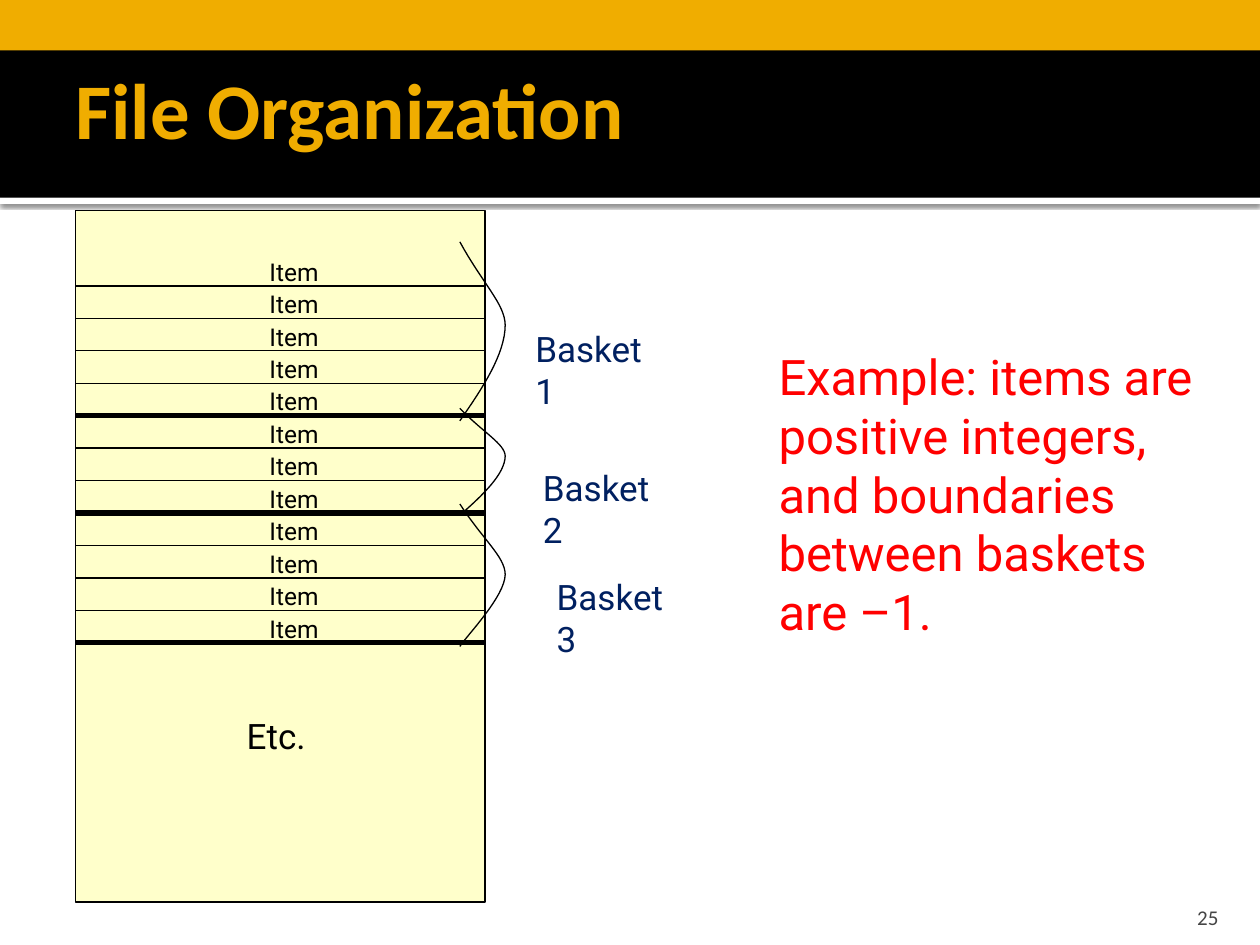
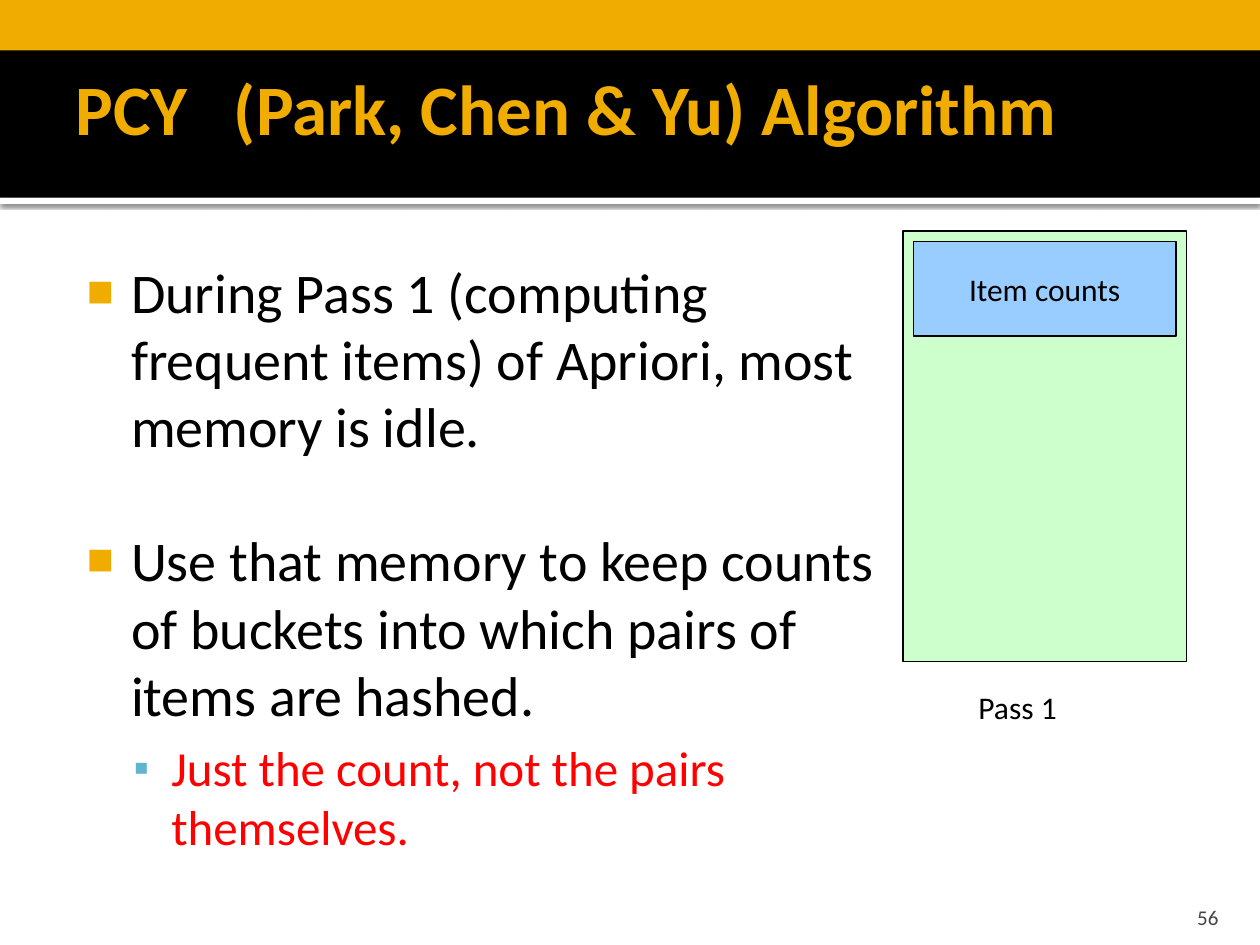
import itertools

import lxml.etree
import pptx
import pptx.dml.color
import pptx.enum.shapes
import pptx.enum.text
import pptx.oxml.ns
import pptx.util

Pt = pptx.util.Pt
ANCHOR = pptx.enum.text.MSO_ANCHOR
ALIGN = pptx.enum.text.PP_ALIGN
COLORS = {
    "gold": "F0AD00", "black": "000000", "white": "FFFFFF", "navy": "002060",
    "red": "FF0000", "gray": "454545", "teal": "60B5CC",
    "file": "FFFF99", "memory": "CCFFCC", "counts": "99CCFF",
}
FRAME = {"margin_left": Pt(7.2), "margin_top": Pt(3.6), "margin_right": Pt(7.2),
         "margin_bottom": Pt(3.6), "word_wrap": True,
         "auto_size": pptx.enum.text.MSO_AUTO_SIZE.NONE, "vertical_anchor": ANCHOR.TOP}
FILE_LEFT, FILE_WIDTH = 43.2, 234
FIRST_LINE, ROW_HEIGHT = 163.4, 18.54
BASKET_SIZES = [5, 3, 4]


def rgb(color):
    return pptx.dml.color.RGBColor.from_string(COLORS[color])


def set_values(target, values):
    for name, value in values.items():
        setattr(target, name, value)


def add_xml(parent, tag, **attributes):
    return lxml.etree.SubElement(parent, pptx.oxml.ns.qn(tag), attributes)


def place(shape, box):
    set_values(shape, dict(zip(("left", "top", "width", "height"), map(Pt, box))))


def write_run(paragraph, text, size, color, font="Calibri", bold=False):
    run = paragraph.add_run()
    run.text = text
    set_values(run.font, {"size": Pt(size), "name": font, "bold": bold})
    run.font.color.rgb = rgb(color)


def write_lines(text_frame, lines, size, color, font="Calibri", align=ALIGN.LEFT, **frame):
    set_values(text_frame, {**FRAME, **frame})
    for index, line in enumerate(lines):
        paragraph = text_frame.add_paragraph() if index else text_frame.paragraphs[0]
        paragraph.alignment = align
        write_run(paragraph, line, size, color, font)


def add_text(slide, box, lines, size, color, font="Calibri", **options):
    text_box = slide.shapes.add_textbox(*map(Pt, box))
    write_lines(text_box.text_frame, lines, size, color, font, **options)


def add_rectangle(slide, box, fill, line=None):
    kind = pptx.enum.shapes.MSO_SHAPE.RECTANGLE
    shape = slide.shapes.add_shape(kind, *map(Pt, box))
    shape.shadow.inherit = False
    shape.fill.solid()
    shape.fill.fore_color.rgb = rgb(fill)
    if line:
        shape.line.color.rgb = rgb(line)
        shape.line.width = Pt(0.75)
    else:
        shape.line.fill.background()
    return shape


def add_divider(slide, top, width):
    connector = slide.shapes.add_connector(
        pptx.enum.shapes.MSO_CONNECTOR.STRAIGHT,
        Pt(FILE_LEFT), Pt(top), Pt(FILE_LEFT + FILE_WIDTH), Pt(top))
    connector.line.color.rgb = rgb("black")
    connector.line.width = Pt(width)
    add_xml(connector.element.spPr, "a:effectLst")


def bezier(points, steps=16):
    for step in range(1, steps + 1):
        t = step / steps
        weights = ((1 - t) ** 3, 3 * t * (1 - t) ** 2, 3 * t * t * (1 - t), t ** 3)
        yield tuple(Pt(sum(w * value for w, value in zip(weights, axis)))
                    for axis in zip(*points))


def add_brace(slide, top, middle, bottom, lower_control):
    left, right = 262.8, 288.7
    inner = (left + right) / 2
    upper = [(left, top), (inner, (top + middle) / 2),
             (right, top + (middle - top) * 0.75), (right, middle)]
    lower = [(right, middle), (right, middle + (bottom - middle) * 0.3),
             lower_control, (left, bottom)]
    builder = slide.shapes.build_freeform(Pt(left), Pt(top))
    builder.add_line_segments([*bezier(upper), *bezier(lower)], close=False)
    brace = builder.convert_to_shape()
    brace.shadow.inherit = False
    brace.fill.background()
    brace.line.color.rgb = rgb("black")
    brace.line.width = Pt(0.75)


def add_master_bands(presentation, slide):
    bands = [((0, 113, 720, 3.6), "white"), ((0, 0, 720, 113), "black"),
             ((0, 0, 720, 28.8), "gold")]
    tree = presentation.slide_master.element.cSld.spTree
    for index, (box, color) in enumerate(bands):
        band = add_rectangle(slide, box, color)
        if color == "white":
            effects = band.element.spPr.find(pptx.oxml.ns.qn("a:effectLst"))
            shadow = add_xml(effects, "a:outerShdw", blurRad=str(Pt(2.5)),
                             dist=str(Pt(0.8)), dir="5400000", rotWithShape="0")
            shade = add_xml(shadow, "a:srgbClr", val=COLORS["black"])
            add_xml(shade, "a:alpha", val="60000")
        band.element.nvSpPr.cNvPr.set("id", str(100 + index))
        tree.insert(2 + index, band.element)


def add_slide(presentation, layout, title, size, number, tab=None):
    slide = presentation.slides.add_slide(presentation.slide_layouts[layout])
    place(slide.shapes.title, (36, 12.2, 648, 98.6))
    frame = slide.shapes.title.text_frame
    set_values(frame, {**FRAME, "margin_right": Pt(3.6), "vertical_anchor": ANCHOR.MIDDLE})
    paragraph = frame.paragraphs[0]
    paragraph.alignment = ALIGN.LEFT
    if tab:
        tabs = add_xml(paragraph._p.get_or_add_pPr(), "a:tabLst")
        add_xml(tabs, "a:tab", pos=str(Pt(tab)), algn="l")
    write_run(paragraph, title, size, "gold", bold=True)
    add_text(slide, (645.8, 509.8, 57.6, 21.6), [number], 12, "gray",
             align=ALIGN.RIGHT, vertical_anchor=ANCHOR.BOTTOM, margin_bottom=0)
    return slide


def add_bullet(paragraph, text, size, color, mark, level, before):
    character, mark_color, percent, left, hanging = mark
    set_values(paragraph, {"level": level, "space_before": Pt(before),
                           "alignment": ALIGN.LEFT})
    properties = paragraph._p.get_or_add_pPr()
    properties.set("marL", str(Pt(left)))
    properties.set("indent", str(-Pt(hanging)))
    add_xml(add_xml(properties, "a:buClr"), "a:srgbClr", val=COLORS[mark_color])
    add_xml(properties, "a:buSzPct", val=str(percent * 1000))
    add_xml(properties, "a:buChar", char=character)
    write_run(paragraph, text, size, color)


def fill_file_slide(slide):
    baskets = [("Basket 1", 298.8, 183.6), ("Basket 2", 303.1, 262.8),
               ("Basket 3", 311, 325.4)]
    for label, left, top in baskets:
        add_text(slide, (left, top, 90.7, 31.7), [label], 20, "navy", "Roboto")

    file_box = add_rectangle(slide, (FILE_LEFT, 120.2, FILE_WIDTH, 395.3), "file", "black")
    fill_color = file_box.element.spPr.find(".//" + pptx.oxml.ns.qn("a:srgbClr"))
    add_xml(fill_color, "a:alpha", val="50000")

    basket_ends = set(itertools.accumulate(BASKET_SIZES))
    for row in range(1, sum(BASKET_SIZES) + 1):
        bottom = FIRST_LINE + (row - 1) * ROW_HEIGHT
        add_divider(slide, bottom, 3 if row in basket_ends else 0.75)
        add_text(slide, (146.9, bottom - 20.3, 85.7, 25.2), ["Item"], 14, "black", "Roboto")

    add_brace(slide, 138.2, 185.8, 240.5, (275.8, 221.8))
    add_brace(slide, 233.3, 260.6, 294.5, (275.8, 283))
    add_brace(slide, 288, 328.3, 369.4, (267.1, 362.9))
    add_text(slide, (133.9, 404.6, 96.5, 32.4), ["Etc."], 20, "black", "Roboto")
    example = ["Example: items are", "positive integers,", "and boundaries",
               "between baskets", "are –1."]
    add_text(slide, (437.8, 194.4, 253.4, 177.1), example, 28, "red", "Roboto")


def fill_algorithm_slide(slide):
    body = slide.placeholders[1]
    place(body, (36, 139.7, 473.8, 364.3))
    frame = body.text_frame
    set_values(frame, {**FRAME, "margin_left": Pt(4.32), "margin_top": Pt(7.2)})
    main_mark = ("■", "gold", 80, 34.56, 25.2)
    sub_mark = ("▪", "teal", 90, 57.6, 21.6)
    bullets = [
        ("During Pass 1 (computing frequent items) of Apriori, most memory is idle.",
         32, "black", main_mark, 0, 0),
        ("Use that memory to keep counts of buckets into which pairs of items are hashed.",
         32, "black", main_mark, 0, 38.4),
        ("Just the count, not the pairs themselves.", 28, "red", sub_mark, 1, 5.6),
    ]
    for index, bullet in enumerate(bullets):
        paragraph = frame.add_paragraph() if index else frame.paragraphs[0]
        add_bullet(paragraph, *bullet)

    add_rectangle(slide, (516, 132, 162, 246), "memory", "black")
    counts = add_rectangle(slide, (522, 138, 150, 54), "counts", "black")
    write_lines(counts.text_frame, ["Item counts"], 18, "black",
                align=ALIGN.CENTER, vertical_anchor=ANCHOR.MIDDLE)
    add_text(slide, (552, 389.5, 82.8, 36), ["Pass 1"], 18, "black")


def main():
    presentation = pptx.Presentation()
    set_values(presentation, {"slide_width": Pt(720), "slide_height": Pt(540)})
    file_slide = add_slide(presentation, 5, "File Organization", 45, "25")
    add_master_bands(presentation, file_slide)
    fill_file_slide(file_slide)
    algorithm_slide = add_slide(presentation, 1, "PCY\t(Park, Chen & Yu) Algorithm",
                                40.5, "56", tab=90.5)
    fill_algorithm_slide(algorithm_slide)
    presentation.save("out.pptx")


if __name__ == "__main__":
    main()
